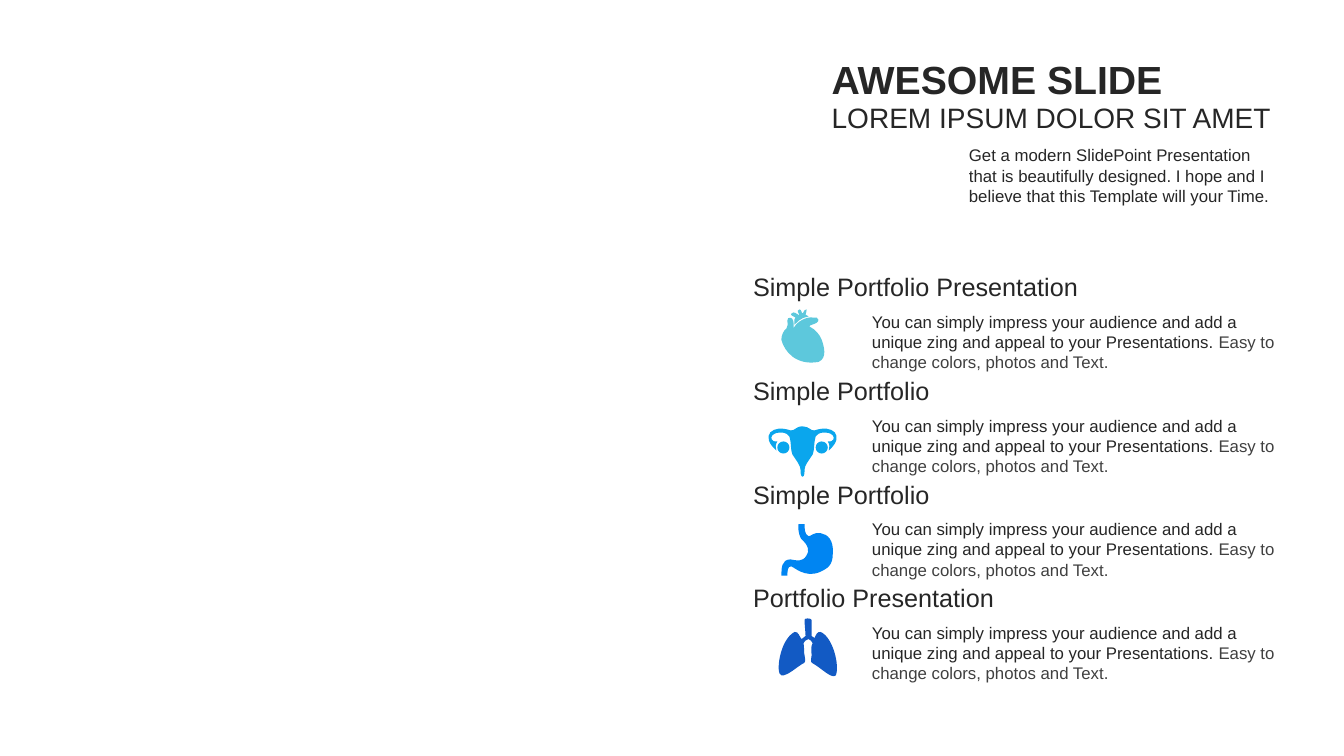
from lxml import etree
from pptx import Presentation
from pptx.dml.color import RGBColor
from pptx.enum.text import MSO_ANCHOR as Anchor, MSO_AUTO_SIZE as AutoSize, PP_ALIGN as Align
from pptx.oxml.ns import qn
from pptx.util import Inches, Pt

FONT = "Arial"
COLOURS = {
    "dark": "262626",
    "grey": "404040",
    "heart": "5DC8DC",
    "uterus": "0AA6ED",
    "stomach": "0085F2",
    "lungs": "125AC4",
}
HEADINGS = ["Simple Portfolio Presentation", "Simple Portfolio",
            "Simple Portfolio", "Portfolio Presentation"]
ROW_TOP, ROW_STEP = 2.7, 1.03

# Outlines in inches: a start point, then lines (2 values) and Bézier curves (6 values)
HEART = [
    [(8.06, 3.15), (8.08, 3.15, 8.09, 3.15, 8.1, 3.15),
     (8.17, 3.21, 8.01, 3.22, 8.03, 3.24), (8.09, 3.27, 8.13, 3.32, 8.15, 3.37),
     (8.17, 3.43, 8.21, 3.55, 8.12, 3.59), (7.9, 3.63, 7.78, 3.49, 7.75, 3.37),
     (7.75, 3.33, 7.77, 3.28, 7.8, 3.26), (7.82, 3.24, 7.81, 3.21, 7.81, 3.18),
     (7.8, 3.14, 7.89, 3.12, 7.87, 3.26), (7.9, 3.19, 8, 3.14, 8.06, 3.15)],
    [(7.93, 3.07), (7.95, 3.07, 7.95, 3.11, 7.96, 3.11),
     (7.97, 3.11, 7.97, 3.07, 8, 3.07), (8.01, 3.08, 7.99, 3.1, 7.99, 3.12),
     (8.02, 3.14), (7.92, 3.16, 7.91, 3.2, 7.88, 3.22), (7.88, 3.17), (7.89, 3.15),
     (7.88, 3.14, 7.83, 3.13, 7.85, 3.11), (7.88, 3.08, 7.9, 3.12, 7.93, 3.13),
     (7.93, 3.11, 7.89, 3.08, 7.93, 3.07)],
]
UTERUS_AXIS = 7.96
UTERUS_RIGHT_HALF = [
    (7.96, 4.23), (8.03, 4.23, 8.04, 4.28, 8.08, 4.27),
    (8.17, 4.24, 8.24, 4.25, 8.28, 4.29), (8.31, 4.33, 8.31, 4.39, 8.22, 4.47),
    (8.23, 4.44, 8.23, 4.41, 8.21, 4.38), (8.27, 4.39, 8.28, 4.34, 8.26, 4.32),
    (8.21, 4.27, 8.11, 4.29, 8.09, 4.33), (8.07, 4.39, 8.08, 4.47, 8.06, 4.51),
    (8.02, 4.57, 7.98, 4.62, 7.98, 4.66), (7.98, 4.68, 7.98, 4.73, 7.96, 4.73),
]
STOMACH = [
    [(7.92, 5.2), (7.98, 5.2), (7.98, 5.25, 7.98, 5.3, 8.02, 5.32),
     (8.05, 5.32, 8.06, 5.28, 8.14, 5.29), (8.21, 5.3, 8.27, 5.36, 8.26, 5.49),
     (8.26, 5.61, 8.21, 5.64, 8.12, 5.68), (7.98, 5.73, 7.88, 5.63, 7.85, 5.62),
     (7.81, 5.61, 7.81, 5.67, 7.81, 5.71), (7.75, 5.71),
     (7.75, 5.64, 7.75, 5.55, 7.84, 5.55), (7.9, 5.56, 7.96, 5.58, 8, 5.51),
     (8.03, 5.47, 8.02, 5.41, 7.95, 5.35), (7.94, 5.34, 7.91, 5.28, 7.92, 5.2)],
]
LUNGS = [
    [(7.98, 6.15), (7.97, 6.13, 8.05, 6.13, 8.05, 6.15), (8.05, 6.31), (8.08, 6.33),
     (8.09, 6.3, 8.11, 6.26, 8.14, 6.27), (8.26, 6.32, 8.33, 6.6, 8.29, 6.7),
     (8.25, 6.74, 8.15, 6.63, 8.06, 6.58), (8.03, 6.57, 8.05, 6.53, 8.05, 6.5),
     (8.06, 6.47, 8.03, 6.45, 8.06, 6.38), (8.05, 6.36, 8.04, 6.35, 8.02, 6.34),
     (7.99, 6.35, 7.98, 6.36, 7.97, 6.38), (7.98, 6.42, 7.97, 6.47, 7.98, 6.5),
     (7.98, 6.52, 8, 6.57, 7.97, 6.58), (7.91, 6.61, 7.81, 6.71, 7.75, 6.7),
     (7.69, 6.69, 7.73, 6.35, 7.88, 6.27), (7.92, 6.26, 7.93, 6.32, 7.95, 6.34),
     (7.99, 6.31), (7.99, 6.27, 7.98, 6.2, 7.98, 6.15)],
]


def rgb(name):
    return RGBColor.from_string(COLOURS[name])


def add_text(page, place, runs, size, bold=False, align=Align.LEFT,
             anchor=Anchor.TOP, spacing=None, left_inset=0.1):
    """Add a one-paragraph text box; runs are (text, colour name) pairs."""
    box = page.shapes.add_textbox(*map(Inches, place))
    frame = box.text_frame
    frame.word_wrap = True
    frame.auto_size = AutoSize.SHAPE_TO_FIT_TEXT
    frame.vertical_anchor = anchor
    frame.margin_left = Inches(left_inset)
    para = frame.paragraphs[0]
    para.alignment = align
    if spacing:
        para.line_spacing = spacing
    for text, colour in runs:
        span = para.add_run()
        span.text = text
        span.font.name = FONT
        span.font.size = Pt(size)
        span.font.bold = bold
        span.font.color.rgb = rgb(colour)


def add_outline(page, contours, colour):
    """Build the outline from its end points, then bend the curved segments."""
    corners = [[(Inches(segment[-2]), Inches(segment[-1])) for segment in contour]
               for contour in contours]
    builder = page.shapes.build_freeform(*corners[0][0])
    for index, points in enumerate(corners):
        if index:
            builder.move_to(*points[0])
        builder.add_line_segments(points[1:], close=True)
    shape = builder.convert_to_shape()

    segments = [segment for contour in contours for segment in contour[1:]]
    lines = list(shape.element.iter(qn("a:lnTo")))
    for line, segment in zip(lines, segments):
        if len(segment) == 2:
            continue
        line.tag = qn("a:cubicBezTo")
        for position in (0, 2):
            control = etree.Element(qn("a:pt"))
            control.set("x", str(Inches(segment[position]) - shape.left))
            control.set("y", str(Inches(segment[position + 1]) - shape.top))
            line.insert(position // 2, control)

    shape.shadow.inherit = False
    shape.fill.solid()
    shape.fill.fore_color.rgb = rgb(colour)
    shape.line.fill.background()


def circle(x, y, radius):
    """A circle as four curves."""
    bend = 0.55
    quarters = [(1, bend, bend, 1, 0, 1), (-bend, 1, -1, bend, -1, 0),
                (-1, -bend, -bend, -1, 0, -1), (bend, -1, 1, -bend, 1, 0)]
    return [(x + radius, y)] + [
        tuple((y if place % 2 else x) + radius * value for place, value in enumerate(quarter))
        for quarter in quarters]


def uterus():
    """The right half, its mirror image and the two ovaries."""
    values = [value for segment in UTERUS_RIGHT_HALF for value in segment]
    points = list(zip(values[::2], values[1::2]))
    mirrored = [(2 * UTERUS_AXIS - x, y) for x, y in reversed(points)][1:]
    left_half = [sum(mirrored[start:start + 3], ()) for start in range(0, len(mirrored), 3)]
    ovaries = [circle(UTERUS_AXIS + offset, 4.44, 0.06) for offset in (0.19, -0.19)]
    return ovaries + [UTERUS_RIGHT_HALF + left_half]


def add_portfolio_row(page, top, heading):
    add_text(page, (7.37, top, 5.48, 0.34), [(heading, "dark")], 18, spacing=0.8)
    add_text(page, (8.55, top + 0.34, 4.3, 0.71), [
        ("You can simply impress your audience and add a unique zing "
         "and appeal to your Presentations. ", "dark"),
        ("Easy to change colors, photos and Text.", "grey"),
    ], 12)


def main():
    deck = Presentation()
    deck.slide_width, deck.slide_height = Inches(13.33), Inches(7.5)
    page = deck.slides.add_slide(deck.slide_layouts[6])

    # Portfolio rows
    for index, heading in enumerate(HEADINGS):
        add_portfolio_row(page, ROW_TOP + index * ROW_STEP, heading)

    # Title block
    add_text(page, (8.15, 0.94, 4.6, 0.44), [("LOREM IPSUM DOLOR SIT AMET", "dark")], 20,
             align=Align.LEFT, anchor=Anchor.MIDDLE)
    add_text(page, (8.15, 0.5, 4.55, 0.57), [("AWESOME SLIDE", "dark")], 28,
             bold=True, align=Align.JUSTIFY, anchor=Anchor.MIDDLE)
    add_text(page, (9.61, 1.39, 3.09, 0.71), [
        ("Get a modern SlidePoint Presentation that is beautifully designed. "
         "I hope and I believe that this Template will your Time.", "dark"),
    ], 12, left_inset=0)

    # Organ icons
    organs = {"lungs": LUNGS, "stomach": STOMACH, "uterus": uterus(), "heart": HEART}
    for colour, contours in organs.items():
        add_outline(page, contours, colour)

    deck.save("out.pptx")


if __name__ == "__main__":
    main()
